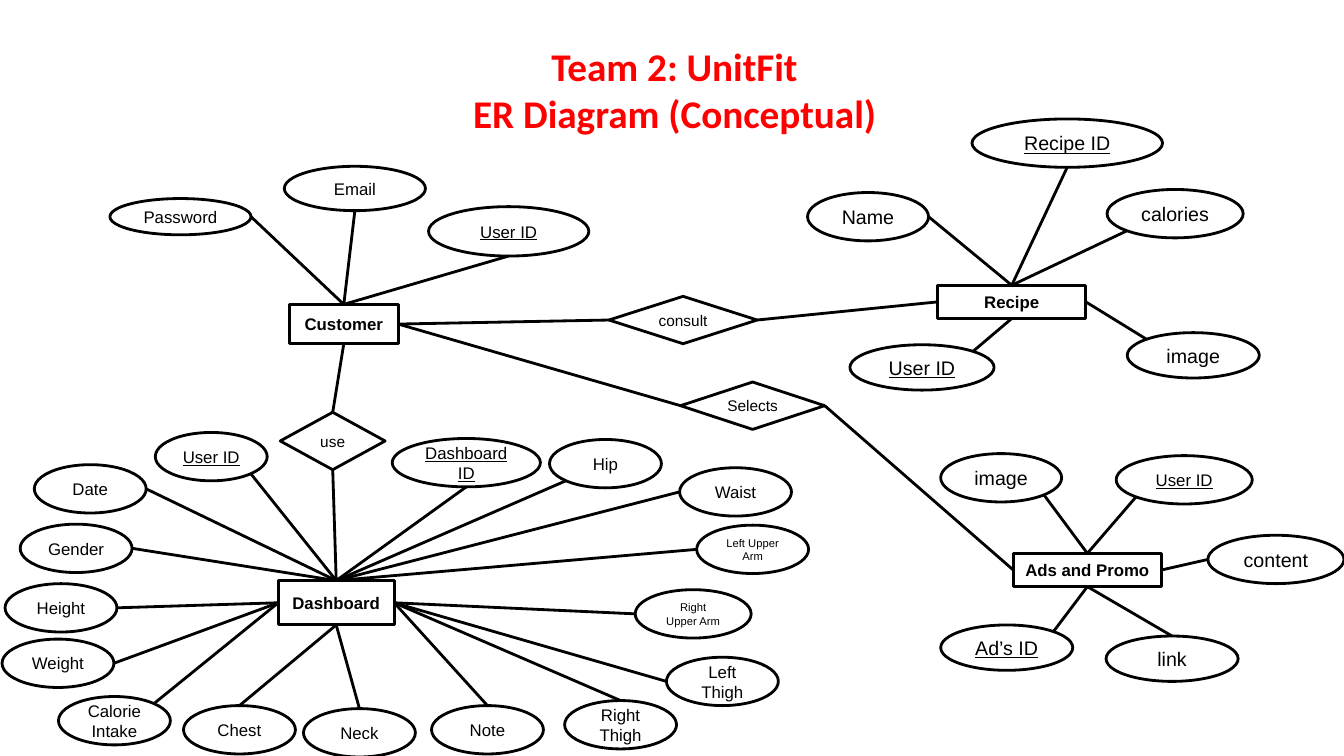
from collections import namedtuple
from math import sqrt

from lxml.etree import SubElement
from pptx import Presentation
from pptx.dml.color import RGBColor
from pptx.enum.shapes import MSO_CONNECTOR, MSO_SHAPE
from pptx.enum.text import MSO_ANCHOR, PP_ALIGN
from pptx.oxml.ns import qn
from pptx.util import Inches, Pt

COLORS = {"ink": "000000", "paper": "FFFFFF", "title": "FF0000"}
Box = namedtuple("Box", "left top width height")
Attribute = namedtuple("Attribute", "text left top width height site side size key",
                       defaults=(12, False))

NEAR = (1 - sqrt(0.5)) / 2
FAR = 1 - NEAR
SITES = {
    "top": (0.5, 0), "left": (0, 0.5), "bottom": (0.5, 1), "right": (1, 0.5),
    "top left": (NEAR, NEAR), "top right": (FAR, NEAR),
    "bottom left": (NEAR, FAR), "bottom right": (FAR, FAR),
}
GLUE = {"top": 0, "left": 1, "bottom": 2, "right": 3}


def color(name):
    return RGBColor.from_string(COLORS[name])


def write(para, text, size, font="Arial", ink="ink", bold=False, underline=None):
    para.alignment = PP_ALIGN.CENTER
    for index, part in enumerate(text.split("\n")):
        if index:
            para.add_line_break()
        span = para.add_run()
        span.text = part
        span.font.name = font
        span.font.size = Pt(size)
        span.font.bold = bold
        span.font.underline = underline
        span.font.color.rgb = color(ink)


def add_node(page, kind, box, text, size, bold=False, underline=None):
    node = page.shapes.add_shape(kind, *map(Inches, box))
    node.shadow.inherit = False
    node.fill.solid()
    node.fill.fore_color.rgb = color("paper")
    node.line.color.rgb = color("ink")
    node.line.width = Pt(2)
    frame = node.text_frame
    frame.word_wrap = True
    frame.vertical_anchor = MSO_ANCHOR.MIDDLE
    write(frame.paragraphs[0], text, size, bold=bold, underline=underline)
    return node


def site_point(node, site):
    across, down = SITES[site]
    return int(node.left + across * node.width), int(node.top + down * node.height)


def link(page, start, start_site, end, end_site):
    line = page.shapes.add_connector(
        MSO_CONNECTOR.STRAIGHT, *site_point(start, start_site), *site_point(end, end_site))
    line.line.color.rgb = color("ink")
    line.line.width = Pt(2)
    SubElement(line._element.spPr, qn("a:effectLst"))
    if start.auto_shape_type != MSO_SHAPE.OVAL:
        line.begin_connect(start, GLUE[start_site])
    line.end_connect(end, GLUE[end_site])


def add_title(page, box):
    frame = page.shapes.add_textbox(*map(Inches, box)).text_frame
    frame.word_wrap = True
    write(frame.paragraphs[0], "Team 2: UnitFit", 28, "Calibri", "title", True)
    write(frame.add_paragraph(), "ER Diagram (Conceptual)", 28, "Calibri", "title", True)


def add_entity(page, box, name, place, attributes):
    def inside(left, top, width, height):
        return Box(box.left + left, box.top + top, width, height)

    entity = add_node(page, MSO_SHAPE.RECTANGLE, inside(*place), name, 12, bold=True)
    for item in attributes:
        oval = add_node(page, MSO_SHAPE.OVAL,
                        inside(item.left, item.top, item.width, item.height),
                        item.text, item.size, underline=item.key or None)
        link(page, oval, item.site, entity, item.side)
    return entity


def add_relationship(page, box, name, first, first_side, second, second_side, entry, leave):
    diamond = add_node(page, MSO_SHAPE.FLOWCHART_DECISION, box, name, 11)
    link(page, first, first_side, diamond, entry)
    link(page, diamond, leave, second, second_side)


CUSTOMER = [
    Attribute("Password", 0.09, 0.37, 1.4, 0.36, "right", "top"),
    Attribute("Email", 1.82, 0.05, 1.4, 0.44, "bottom", "top"),
    Attribute("User ID", 3.25, 0.45, 1.59, 0.49, "bottom", "top", key=True),
]
RECIPE = [
    Attribute("Name", 0.01, 0.81, 1.2, 0.48, "right", "top", 14),
    Attribute("Recipe ID", 1.64, 0.08, 1.89, 0.48, "bottom", "top", 14, True),
    Attribute("calories", 2.98, 0.78, 1.35, 0.48, "bottom left", "top", 14),
    Attribute("image", 3.18, 2.2, 1.31, 0.45, "top left", "right", 14),
    Attribute("User ID", 0.43, 2.32, 1.43, 0.45, "top right", "bottom", 14, True),
]
ADS = [
    Attribute("image", 0.03, 0, 1.2, 0.48, "bottom right", "top", 14),
    Attribute("User ID", 1.77, 0.02, 1.35, 0.48, "bottom left", "top", key=True),
    Attribute("content", 2.68, 0.81, 1.35, 0.48, "left", "right", 14),
    Attribute("link", 1.67, 1.81, 1.31, 0.45, "top", "bottom", 14),
    Attribute("Ad’s ID", 0.03, 1.7, 1.31, 0.45, "top right", "bottom", 14, True),
]
MEASURE = (1.11, 0.48)
DASHBOARD = [
    Attribute("User ID", 1.54, 0.09, *MEASURE, "bottom right", "top", key=True),
    Attribute("Date", 0.34, 0.41, *MEASURE, "right", "top"),
    Attribute("Gender", 0.2, 1, *MEASURE, "right", "top"),
    Attribute("Height", 0.05, 1.59, *MEASURE, "right", "left"),
    Attribute("Weight", 0.02, 2.14, *MEASURE, "right", "left"),
    Attribute("Calorie Intake", 0.58, 2.71, *MEASURE, "top right", "left"),
    Attribute("Chest", 1.82, 2.8, *MEASURE, "top", "bottom"),
    Attribute("Neck", 3.01, 2.83, *MEASURE, "top", "bottom"),
    Attribute("Note", 4.28, 2.8, *MEASURE, "top", "right"),
    Attribute("Right Thigh", 5.6, 2.75, *MEASURE, "top", "right"),
    Attribute("Left Thigh", 6.61, 2.32, *MEASURE, "left", "right"),
    Attribute("Right\nUpper Arm", 6.3, 1.65, 1.15, 0.48, "left", "right", 8),
    Attribute("Left Upper Arm", 6.91, 1.01, *MEASURE, "left", "top", 8),
    Attribute("Waist", 6.74, 0.44, *MEASURE, "left", "top"),
    Attribute("Hip", 5.45, 0.16, *MEASURE, "bottom left", "top"),
    Attribute("Dashboard ID", 3.89, 0.15, 1.47, 0.48, "bottom", "top", key=True),
]

deck = Presentation()
deck.slide_width, deck.slide_height = Inches(13.33), Inches(7.5)
page = deck.slides.add_slide(deck.slide_layouts[6])

add_title(page, Box(3.4, 0.37, 6.58, 1.04))
customer = add_entity(page, Box(1, 1.6, 4.84, 1.81), "Customer",
                      (1.87, 1.42, 1.08, 0.39), CUSTOMER)
recipe = add_entity(page, Box(8, 1.1, 4.49, 2.77), "Recipe",
                    (1.3, 1.73, 1.47, 0.33), RECIPE)
ads = add_entity(page, Box(9.3, 4.5, 4.03, 2.26), "Ads and Promo",
                 (0.75, 0.99, 1.47, 0.33), ADS)
dashboard = add_entity(page, Box(0, 4.2, 8.02, 3.3), "Dashboard",
                       (2.76, 1.56, 1.15, 0.44), DASHBOARD)

add_relationship(page, Box(6.04, 2.94, 1.47, 0.47), "consult",
                 customer, "right", recipe, "left", "left", "right")
add_relationship(page, Box(6.75, 3.79, 1.43, 0.47), "Selects",
                 customer, "right", ads, "left", "left", "right")
add_relationship(page, Box(2.78, 4.09, 1.04, 0.57), "use",
                 customer, "bottom", dashboard, "top", "top", "bottom")

deck.save("out.pptx")
